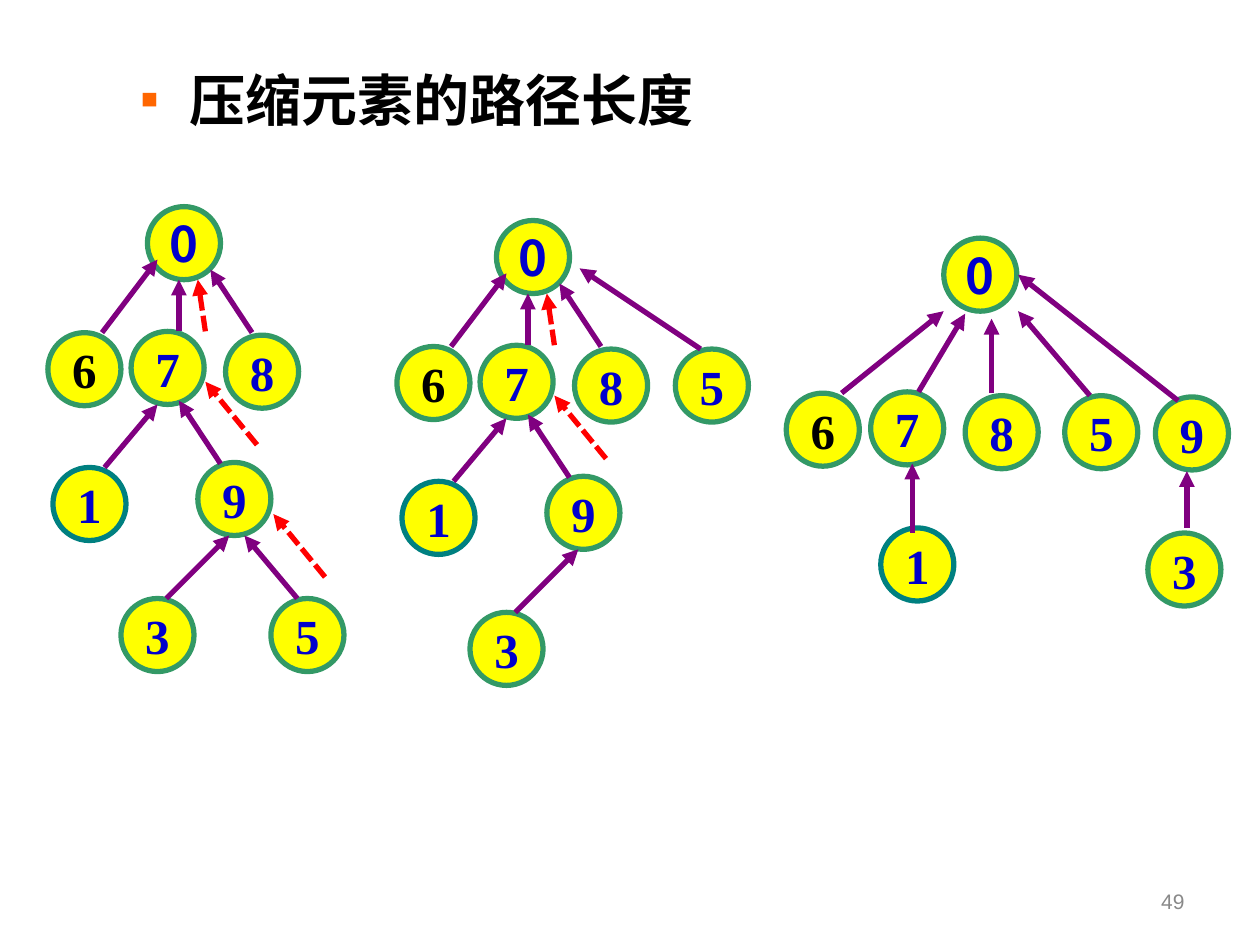
from lxml import etree
from pptx import Presentation
from pptx.dml.color import RGBColor
from pptx.enum.dml import MSO_LINE_DASH_STYLE as Dash
from pptx.enum.shapes import MSO_CONNECTOR as Connector, MSO_SHAPE as Shape
from pptx.enum.text import MSO_ANCHOR as Anchor, MSO_AUTO_SIZE as AutoSize, PP_ALIGN as Align
from pptx.oxml.ns import qn
from pptx.util import Inches, Pt

BLACK = RGBColor(0x00, 0x00, 0x00)
BLUE = RGBColor(0x00, 0x00, 0xCC)
YELLOW = RGBColor(0xFF, 0xFF, 0x00)
GREEN = RGBColor(0x33, 0x99, 0x66)
TEAL = RGBColor(0x00, 0x80, 0x80)
PURPLE = RGBColor(0x80, 0x00, 0x80)
RED = RGBColor(0xFF, 0x00, 0x00)
GREY = RGBColor(0x89, 0x89, 0x89)

NODE_SIZE = 0.58

# Node positions and arrow ends are inches from the corner of their tree.
SHARED_NODES = {
    "0": (0.79, 0), "6": (0, 1), "7": (0.66, 0.99), "8": (1.41, 1.02),
    "1": (0.04, 2.07), "9": (1.19, 2.03), "3": (0.58, 3.11),
}
SHARED_LINKS = [
    (0.43, 1, 0.87, 0.42), (1.04, 0.99, 1.04, 0.58), (1.62, 1, 1.29, 0.5),
    (0.45, 2.07, 0.87, 1.57), (1.37, 2.04, 1.04, 1.54), (0.94, 3.11, 1.44, 2.61),
]
SHARED_STEPS = [(1.66, 1.89, 1.25, 1.39), (1.25, 0.99, 1.19, 0.58)]

TREES = [
    dict(
        corner=(0.38, 1.64),
        nodes={**SHARED_NODES, "5": (1.77, 3.11)},
        links=SHARED_LINKS + [(1.98, 3.11, 1.56, 2.61)],
        steps=SHARED_STEPS + [(2.2, 2.94, 1.79, 2.44)],
    ),
    dict(
        corner=(3.15, 1.75),
        nodes={**SHARED_NODES, "5": (2.21, 1.02)},
        links=SHARED_LINKS + [(2.41, 1.02, 1.45, 0.38)],
        steps=SHARED_STEPS,
    ),
    dict(
        corner=(6.24, 1.89),
        nodes={
            "0": (1.25, 0), "6": (0, 1.23), "7": (0.67, 1.22), "8": (1.42, 1.25),
            "5": (2.21, 1.25), "9": (2.93, 1.26), "1": (0.75, 2.3), "3": (2.87, 2.34),
        },
        links=[
            (0.44, 1.23, 1.25, 0.58), (1.05, 1.22, 1.42, 0.6), (1.63, 1.23, 1.63, 0.64),
            (2.41, 1.25, 1.84, 0.58), (3.11, 1.29, 1.84, 0.29),
            (1, 2.34, 1, 1.79), (3.18, 2.3, 3.18, 1.85),
        ],
        steps=[],
    ),
]


def write(box, text, *, size, font, color, bold=False, align=Align.LEFT,
          anchor=Anchor.MIDDLE, wrap=True):
    frame = box.text_frame
    frame.auto_size = AutoSize.NONE
    frame.word_wrap = wrap
    frame.vertical_anchor = anchor
    para = frame.paragraphs[0]
    para.alignment = align
    span = para.add_run()
    span.text = text
    span.font.size = Pt(size)
    span.font.name = font
    span.font.bold = bold
    span.font.color.rgb = color
    etree.SubElement(span.font._element, qn("a:ea"), typeface=font)
    return para


def add_bullet(para, char, color, percent, indent):
    props = para._p.get_or_add_pPr()
    props.set("marL", str(Inches(indent)))
    props.set("indent", str(-Inches(indent)))
    tint = etree.SubElement(props, qn("a:buClr"))
    etree.SubElement(tint, qn("a:srgbClr"), val=str(color))
    etree.SubElement(props, qn("a:buSzPct"), val=str(percent * 1000))
    etree.SubElement(props, qn("a:buFont"), typeface="Arial")
    etree.SubElement(props, qn("a:buChar"), char=char)


def place_title(page, left, top, width, height):
    title = page.shapes.title
    title.left, title.top = Inches(left), Inches(top)
    title.width, title.height = Inches(width), Inches(height)
    para = write(title, "压缩元素的路径长度", size=32, font="Noto Sans CJK JP",
                 color=BLACK, bold=True, anchor=Anchor.TOP)
    add_bullet(para, "■", RGBColor(0xFF, 0x66, 0x00), 50, 0.38)


def place_page_number(page, left, top, width, height):
    box = page.shapes.add_textbox(Inches(left), Inches(top), Inches(width), Inches(height))
    write(box, "49", size=12, font="Arial", color=GREY, align=Align.RIGHT)


def add_node(page, label, left, top):
    node = page.shapes.add_shape(Shape.OVAL, Inches(left), Inches(top),
                                 Inches(NODE_SIZE), Inches(NODE_SIZE))
    node.shadow.inherit = False
    node.fill.solid()
    node.fill.fore_color.rgb = YELLOW
    node.line.color.rgb = TEAL if label == "1" else GREEN
    node.line.width = Pt(3)
    write(node, label, size=28, bold=True, align=Align.CENTER, wrap=False,
          font="Noto Sans CJK SC" if label == "0" else "Times New Roman",
          color=BLACK if label == "6" else BLUE)


def add_arrow(page, ends, color, dash=None):
    arrow = page.shapes.add_connector(Connector.STRAIGHT, *map(Inches, ends))
    arrow.line.color.rgb = color
    arrow.line.width = Pt(3)
    if dash:
        arrow.line.dash_style = dash
    etree.SubElement(arrow.line._get_or_add_ln(), qn("a:tailEnd"), type="triangle")
    etree.SubElement(arrow._element.spPr, qn("a:effectLst"))


def place_tree(page, corner, nodes, links, steps):
    """Draw nodes, parent links and the dashed steps of the search."""
    left, top = corner
    for label, (x, y) in nodes.items():
        add_node(page, label, left + x, top + y)
    for arrows, color, dash in ((links, PURPLE, None), (steps, RED, Dash.SQUARE_DOT)):
        for x1, y1, x2, y2 in arrows:
            add_arrow(page, (left + x1, top + y1, left + x2, top + y2), color, dash)


def main():
    deck = Presentation()
    deck.slide_width, deck.slide_height = Inches(10), Inches(7.5)
    page = deck.slides.add_slide(deck.slide_layouts[5])
    place_title(page, 1.02, 0.47, 8.08, 0.9)
    for tree in TREES:
        place_tree(page, **tree)
    place_page_number(page, 7.17, 6.95, 2.33, 0.4)
    deck.save("out.pptx")


if __name__ == "__main__":
    main()
